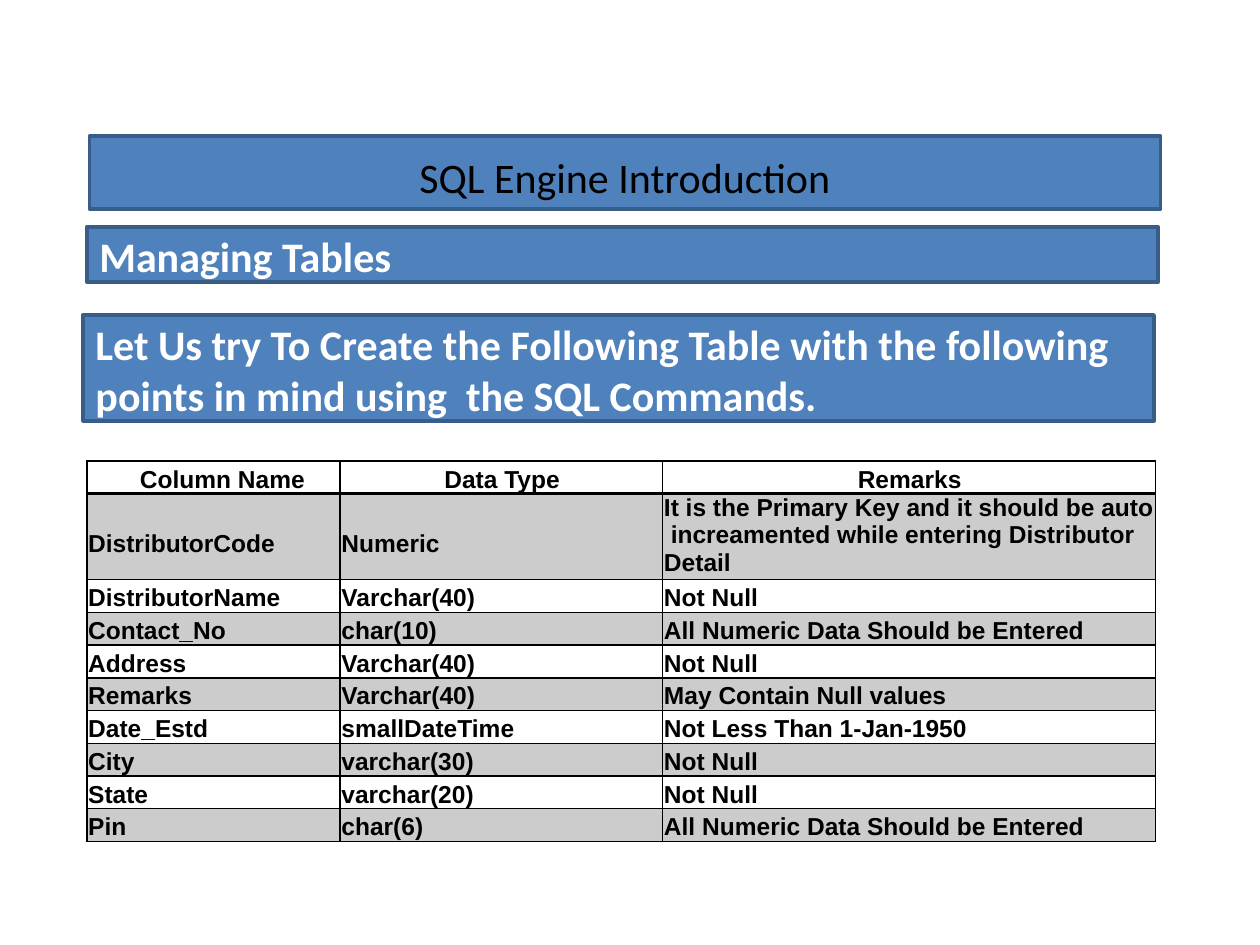
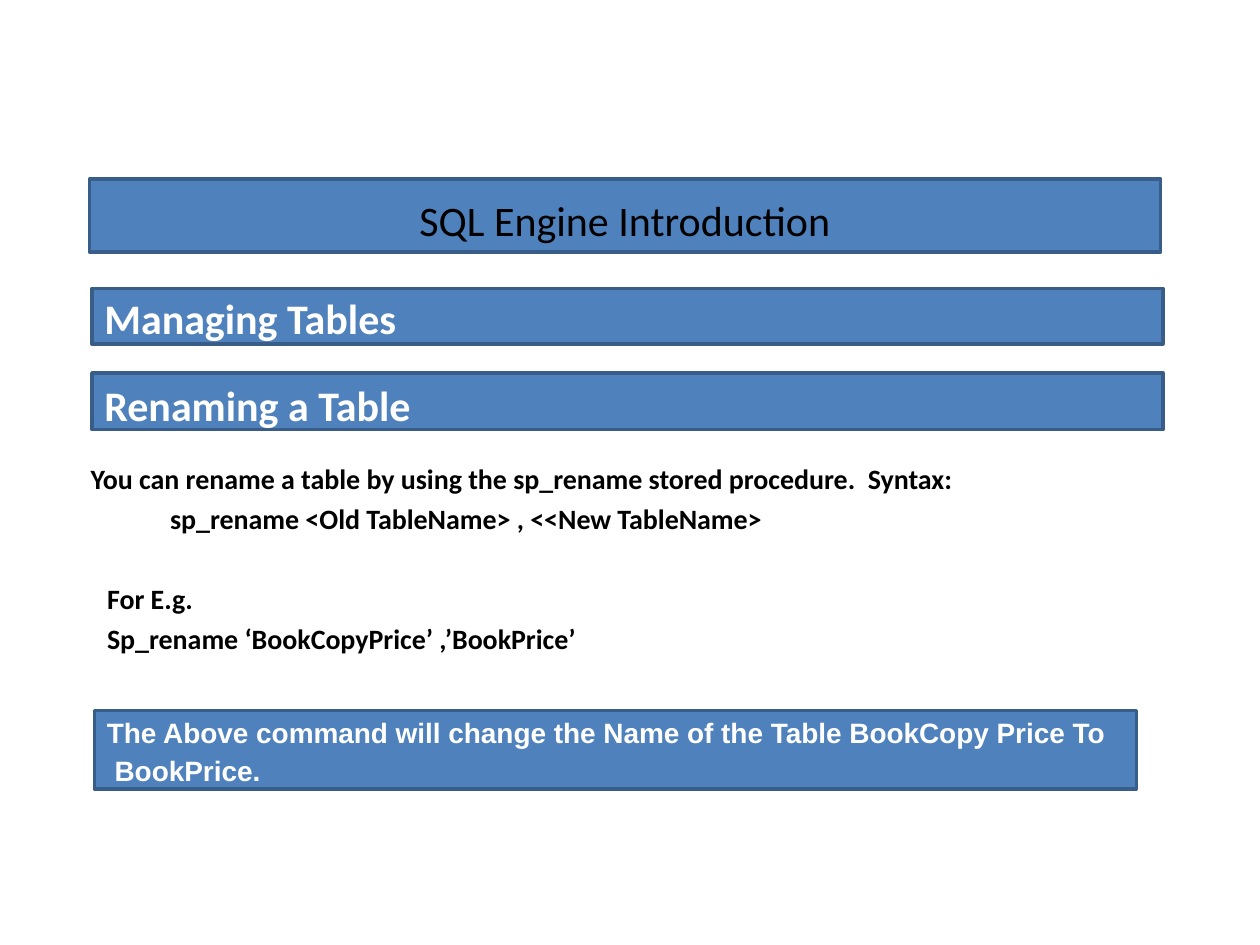
from lxml import etree
from pptx import Presentation
from pptx.dml.color import RGBColor
from pptx.enum.shapes import MSO_SHAPE
from pptx.enum.text import MSO_ANCHOR, MSO_AUTO_SIZE, PP_ALIGN
from pptx.oxml.ns import qn
from pptx.util import Inches, Pt

RECT = MSO_SHAPE.RECTANGLE
TOP, MIDDLE = MSO_ANCHOR.TOP, MSO_ANCHOR.MIDDLE
FIXED = MSO_AUTO_SIZE.NONE
LEFT, CENTER = PP_ALIGN.LEFT, PP_ALIGN.CENTER
ONLY_TITLE = 5

HUES = {"band": "4F81BC", "edge": "385D89", "ink": "000000",
        "light": "FFFFFF", "stripe": "CCCCCC"}
SANS, BODY = "Arial", "Calibri"
WIDE = 8.5

TITLE = "SQL Engine Introduction"
TOPIC = "Managing Tables"
TASK = ("Let Us try To Create the Following Table with the following "
        "points in mind using  the SQL Commands.")
FIELDS = [
    ("Column Name", "Data Type", "Remarks"),
    ("DistributorCode", "Numeric",
     "It is the Primary Key and it should be auto  increamented "
     "while entering Distributor Detail"),
    ("DistributorName", "Varchar(40)", "Not Null"),
    ("Contact_No", "char(10)", "All Numeric Data Should be Entered"),
    ("Address", "Varchar(40)", "Not Null"),
    ("Remarks", "Varchar(40)", "May Contain Null values"),
    ("Date_Estd", "smallDateTime", "Not Less Than 1-Jan-1950"),
    ("City", "varchar(30)", "Not Null"),
    ("State", "varchar(20)", "Not Null"),
    ("Pin", "char(6)", "All Numeric Data Should be Entered"),
]
COLS = (2.01, 2.56, 3.91)
ROW, TALL = 0.26, 0.68

# text, indent in inches, space before in points
STEPS = [
    ("You can rename a table by using the sp_rename stored procedure.  Syntax:", 0.01, 0),
    ("sp_rename <Old TableName> , <<New TableName>", 0.64, 3.8),
    ("For E.g.", 0.14, 26.5),
    ("Sp_rename ‘BookCopyPrice’ ,’BookPrice’", 0.14, 3.8),
]
RESULT = ["The Above command will change the Name of the Table BookCopy Price To",
          " BookPrice."]


def rgb(name):
    return RGBColor.from_string(HUES[name])


def write(frame, lines, size, face=BODY, hue="ink", bold=True, align=LEFT):
    frame.text = "\n".join(lines)
    for para in frame.paragraphs:
        para.alignment = align
        font = para.font
        font.name, font.size, font.bold = face, Pt(size), bold
        font.color.rgb = rgb(hue)


def inset(part, left=0, top=0):
    part.margin_left, part.margin_top = Inches(left), Inches(top)
    part.margin_right = part.margin_bottom = 0


def paint(shape):
    shape.fill.solid()
    shape.fill.fore_color.rgb = rgb("band")
    shape.line.color.rgb = rgb("edge")
    shape.line.width = Pt(2)


def fit(frame, anchor):
    frame.word_wrap = True
    frame.auto_size = FIXED
    frame.vertical_anchor = anchor


def start(deck, left, top):
    slide = deck.slides.add_slide(deck.slide_layouts[ONLY_TITLE])
    title = slide.shapes.title
    title.left, title.top = Inches(left), Inches(top)
    title.width, title.height = Inches(WIDE), Inches(0.58)
    paint(title)
    frame = title.text_frame
    fit(frame, MIDDLE)
    inset(frame, top=0.07)
    write(frame, [TITLE], 24, bold=False, align=CENTER)
    return slide


def band(slide, lines, left, top, high, wide=WIDE, pad=0.03, size=24, face=BODY):
    box = slide.shapes.add_shape(RECT, Inches(left), Inches(top),
                                 Inches(wide), Inches(high))
    box.shadow.inherit = False
    paint(box)
    frame = box.text_frame
    fit(frame, TOP)
    inset(frame, 0.1, pad)
    write(frame, lines, size, face, "light")
    return frame


def border(cell, head):
    props = cell._tc.get_or_add_tcPr()
    for spot, side in enumerate(("lnL", "lnR", "lnT", "lnB")):
        width = Pt(2) if head and side == "lnB" else Pt(1)
        line = etree.Element(qn("a:" + side), w=str(width))
        fill = etree.SubElement(line, qn("a:solidFill"))
        etree.SubElement(fill, qn("a:srgbClr"), val=HUES["ink"])
        props.insert(spot, line)


def grid(slide, left, top):
    highs = [TALL if i == 1 else ROW for i in range(len(FIELDS))]
    table = slide.shapes.add_table(
        len(FIELDS), len(COLS), Inches(left), Inches(top),
        Inches(sum(COLS)), Inches(sum(highs))).table
    table.first_row = table.horz_banding = False
    for col, wide in zip(table.columns, COLS):
        col.width = Inches(wide)
    for r, (row, high) in enumerate(zip(FIELDS, highs)):
        table.rows[r].height = Inches(high)
        for c, text in enumerate(row):
            cell = table.cell(r, c)
            head, long = r == 0, r == 1 and c == 2
            inset(cell, 0.42 if head and c == 0 else 0.01,
                  0.25 if r == 1 and not long else 0)
            write(cell.text_frame, [text], 14, SANS,
                  align=CENTER if head and c else LEFT)
            if not long:
                cell.text_frame.paragraphs[0].line_spacing = 1.18
            if r % 2:
                cell.fill.solid()
                cell.fill.fore_color.rgb = rgb("stripe")
            else:
                cell.fill.background()
            border(cell, head)


def steps(slide, left, top):
    box = slide.shapes.add_textbox(Inches(left), Inches(top),
                                   Inches(WIDE), Inches(1.63))
    frame = box.text_frame
    fit(frame, TOP)
    inset(frame, top=0.01)
    write(frame, [text for text, _, _ in STEPS], 16)
    for para, (_, indent, gap) in zip(frame.paragraphs, STEPS):
        para._p.get_or_add_pPr().set("marL", str(Inches(indent)))
        para.space_before = Pt(gap)
    frame.paragraphs[0].line_spacing = 1.2


def main():
    deck = Presentation()
    deck.slide_width, deck.slide_height = Inches(10), Inches(7.5)

    create = start(deck, 0.71, 1.08)
    band(create, [TOPIC], 0.69, 1.8, 0.44)
    band(create, [TASK], 0.66, 2.5, 0.84)
    grid(create, 0.69, 3.66)

    rename = start(deck, 0.71, 1.42)
    band(rename, [TOPIC], 0.73, 2.29, 0.44)
    band(rename, ["Renaming a Table"], 0.73, 2.96, 0.45, pad=0.05)
    steps(rename, 0.71, 3.6)
    note = band(rename, RESULT, 0.75, 5.64, 0.62, 8.27, 0.04, 16, SANS)
    note.paragraphs[1].space_before = Pt(2.7)

    deck.save("out.pptx")


if __name__ == "__main__":
    main()
